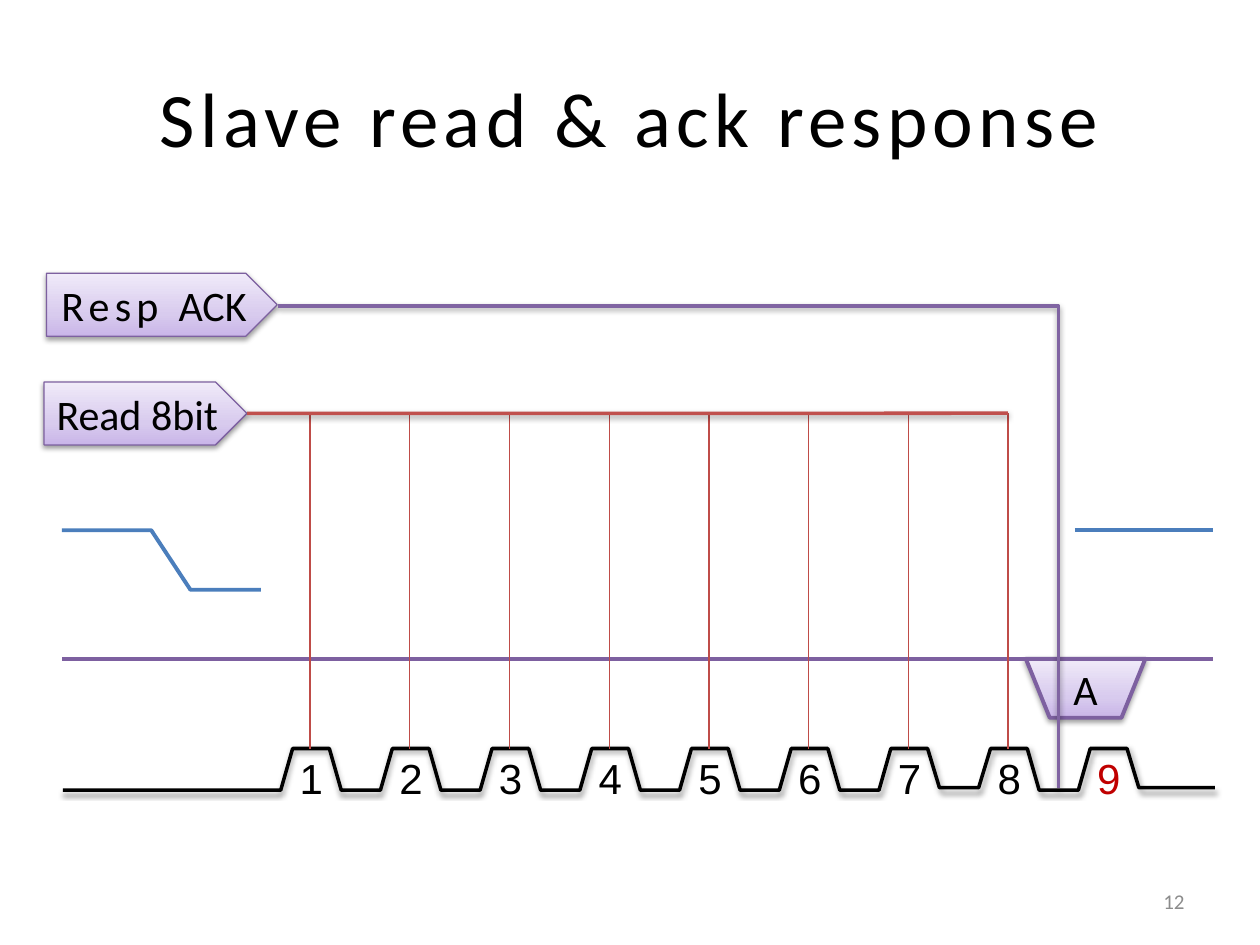
"""Build a slide with the timing diagram of a slave read and its ack response."""
from copy import deepcopy
from dataclasses import dataclass

from lxml import etree
from pptx import Presentation
from pptx import util as u
from pptx.dml import color
from pptx.enum import shapes, text
from pptx.oxml import ns

BLACK, PURPLE, BLUE = "000000", "7D60A0", "4B7EBC"
LILAC = ((0, "C9B5E8"), (0.35, "D8CBEE"), (1, "F0EAF9"))
PITCH = 2.01
HIGH, LOW, RAISED_LOW = 15.09, 15.93, 15.88
RAISED_AFTER = (7, 9)
CENTER, LEFT, RIGHT = text.PP_ALIGN.CENTER, text.PP_ALIGN.LEFT, text.PP_ALIGN.RIGHT
TOP, MIDDLE = text.MSO_ANCHOR.TOP, text.MSO_ANCHOR.MIDDLE


@dataclass
class Box:
    left: float
    top: float
    width: float
    height: float

    def lengths(self) -> list:
        return [u.Cm(side) for side in (self.left, self.top, self.width, self.height)]


@dataclass
class Words:
    content: str
    size: float = 24
    font: str = "Calibri"
    tint: str = BLACK
    spacing: float = 0


@dataclass
class Stroke:
    tint: str
    width: float
    shadow: bool = False


def rgb(tint: str) -> color.RGBColor:
    return color.RGBColor.from_string(tint)


def apply_stroke(part, stroke: Stroke) -> None:
    part.line.color.rgb = rgb(stroke.tint)
    part.line.width = u.Pt(stroke.width)
    effects = etree.SubElement(part._element.spPr, ns.qn("a:effectLst"))
    if stroke.shadow:
        outer = etree.SubElement(effects, ns.qn("a:outerShdw"), blurRad="40000",
                                 dist="20000", dir="5400000", rotWithShape="0")
        black = etree.SubElement(outer, ns.qn("a:srgbClr"), val=BLACK)
        etree.SubElement(black, ns.qn("a:alpha"), val="38000")


def write(frame, runs: list[Words], align=LEFT, anchor=TOP, wrap: bool = True) -> None:
    frame.word_wrap = wrap
    frame.vertical_anchor = anchor
    paragraph = frame.paragraphs[0]
    paragraph.alignment = align
    for words in runs:
        run = paragraph.add_run()
        run.text = words.content
        run.font.size = u.Pt(words.size)
        run.font.name = words.font
        run.font.color.rgb = rgb(words.tint)
        if words.spacing:
            run.font._element.set("spc", str(round(words.spacing * 100)))


def add_label(slide, box: Box, words: Words, **layout) -> None:
    write(slide.shapes.add_textbox(*box.lengths()).text_frame, [words], **layout)


def add_line(slide, start: tuple, end: tuple, stroke: Stroke):
    ends = [u.Cm(value) for value in (*start, *end)]
    line = slide.shapes.add_connector(shapes.MSO_CONNECTOR.STRAIGHT, *ends)
    apply_stroke(line, stroke)
    return line


def add_trace(slide, points: list[tuple], stroke: Stroke) -> None:
    corners = [(u.Cm(x), u.Cm(y)) for x, y in points]
    builder = slide.shapes.build_freeform(*corners[0])
    builder.add_line_segments(corners[1:], close=False)
    trace = builder.convert_to_shape()
    trace.fill.background()
    apply_stroke(trace, stroke)


def add_lilac_shape(slide, preset, box: Box, border: float, runs: list[Words], **layout):
    shape = slide.shapes.add_shape(preset, *box.lengths())
    shape.fill.gradient()
    shape.fill.gradient_angle = 90
    stops = shape._element.spPr.find(".//" + ns.qn("a:gsLst"))
    stops.append(deepcopy(stops[0]))
    for stop, (position, tint) in zip(shape.fill.gradient_stops, LILAC):
        stop.position = position
        stop.color.rgb = rgb(tint)
    apply_stroke(shape, Stroke(PURPLE, border, True))
    write(shape.text_frame, runs, **layout)
    return shape


def clock_points() -> list[tuple]:
    points, level = [(1.27, LOW)], LOW
    for number in range(1, 10):
        rise = 5.66 + PITCH * (number - 1)
        points += [(rise, level), (rise + 0.24, HIGH), (rise + 0.98, HIGH)]
        level = RAISED_LOW if number in RAISED_AFTER else LOW
        points.append((rise + 1.22, level))
    return points + [(24.49, level)]


def draw_bus(slide) -> None:
    add_trace(slide, [(5.26, 11.89), (3.84, 11.89), (3.05, 10.69), (1.25, 10.69)],
              Stroke(BLUE, 2.25))
    add_line(slide, (21.67, 10.69), (24.46, 10.69), Stroke(BLUE, 2.25))
    add_lilac_shape(slide, shapes.MSO_SHAPE.FLOWCHART_MANUAL_OPERATION,
                    Box(20.68, 13.28, 2.41, 1.19), 2.25, [Words("A")],
                    align=CENTER, anchor=MIDDLE)
    add_line(slide, (1.25, 13.28), (24.46, 13.28), Stroke(PURPLE, 2.25))
    add_trace(slide, clock_points(), Stroke(BLACK, 2, True))
    for number in range(1, 10):
        tint = "C00000" if number == 9 else BLACK
        add_label(slide, Box(5.79 + PITCH * (number - 1), 15.04, 0.99, 1.27),
                  Words(str(number), font="Arial", tint=tint), wrap=False)


def draw_actions(slide) -> None:
    for bit in range(8):
        sample = 6.25 + PITCH * bit
        add_line(slide, (sample, 8.33), (sample, HIGH), Stroke("BF4C48", 0.75))
    pentagon = shapes.MSO_SHAPE.PENTAGON
    read_tag = add_lilac_shape(slide, pentagon, Box(0.89, 7.7, 4.09, 1.27), 0.75,
                               [Words("Read 8bit")], wrap=False)
    read_line = add_line(slide, (4.98, 8.33), (20.32, 8.33), Stroke("C0504D", 2, True))
    read_line.begin_connect(read_tag, 3)
    add_lilac_shape(slide, pentagon, Box(0.94, 5.51, 4.65, 1.27), 0.75,
                    [Words("Resp ", spacing=3), Words("ACK")], align=CENTER, wrap=False)
    add_trace(slide, [(5.61, 6.17), (21.34, 6.17), (21.34, 15.88)],
              Stroke("8064A2", 2, True))


def main() -> None:
    deck = Presentation()
    deck.slide_width, deck.slide_height = u.Cm(25.4), u.Cm(19.05)
    slide = deck.slides.add_slide(deck.slide_layouts[6])
    draw_bus(slide)
    add_label(slide, Box(1.27, 0.76, 22.86, 3.18),
              Words("Slave read & ack response", 44, spacing=3),
              align=CENTER, anchor=MIDDLE)
    draw_actions(slide)
    add_label(slide, Box(18.21, 17.65, 5.92, 1.02), Words("12", 12, tint="8C8C8C"),
              align=RIGHT, anchor=MIDDLE)
    deck.save("out.pptx")


if __name__ == "__main__":
    main()
